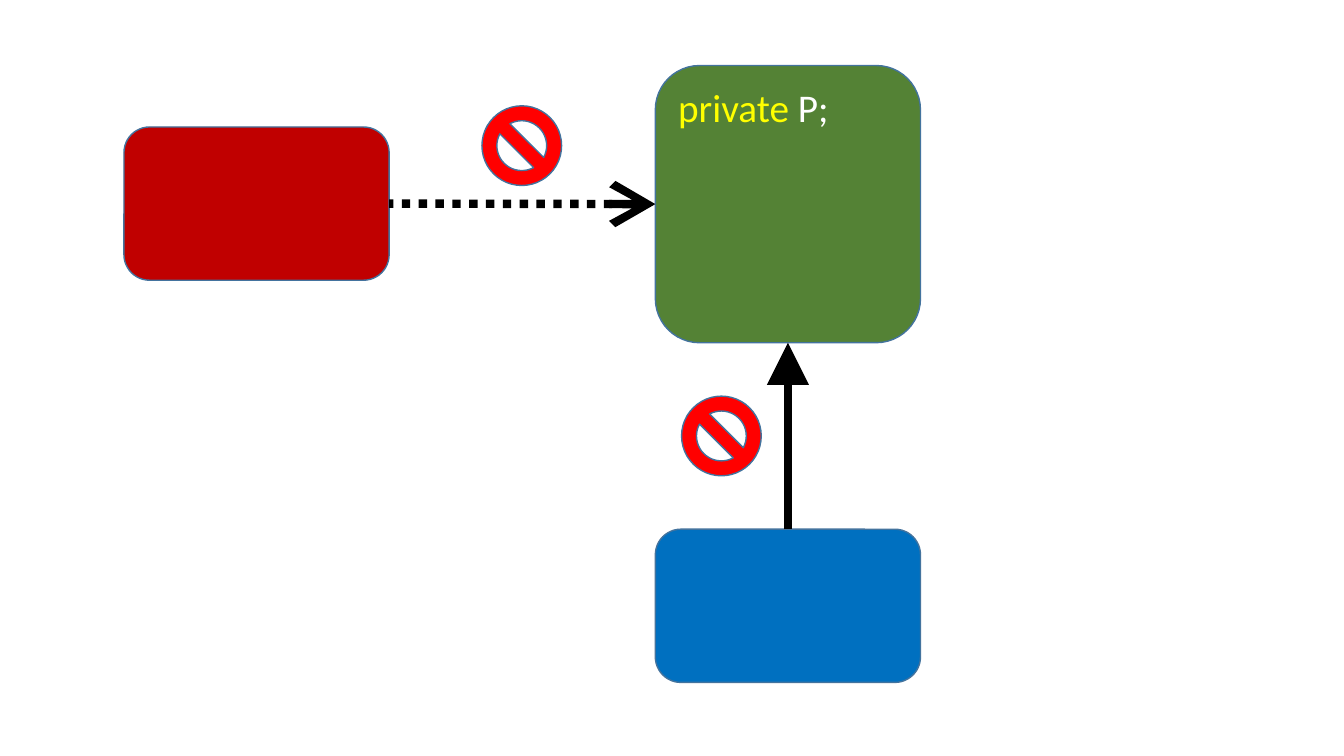
from dataclasses import dataclass

from lxml import etree
from pptx import Presentation
from pptx import util as u
from pptx.dml.color import RGBColor
from pptx.enum import dml, shapes, text
from pptx.oxml.ns import qn

BLUE = RGBColor(0x00, 0x70, 0xC0)
DARK_RED = RGBColor(0xC0, 0x00, 0x00)
GREEN = RGBColor(0x54, 0x82, 0x35)
RED = RGBColor(0xFF, 0x00, 0x00)
OUTLINE = RGBColor(0x43, 0x73, 0x9E)
BLACK = RGBColor(0x00, 0x00, 0x00)
YELLOW = RGBColor(0xFF, 0xFF, 0x00)
WHITE = RGBColor(0xFF, 0xFF, 0xFF)

BOX_W = 2.63
SIGN_SIZE = 0.79
TOP, LEFT, BOTTOM = 0, 1, 2
RIGHT = 3


@dataclass(frozen=True)
class Box:
    name: str
    left: float
    top: float
    height: float
    fill: RGBColor


@dataclass(frozen=True)
class Arrow:
    start: str
    start_side: int
    end: str
    end_side: int
    tip: str  # a:headEnd sits at the start, a:tailEnd at the end
    tip_type: str
    dash: dml.MSO_LINE | None = None


BOXES = [
    Box("subclass", 6.5, 5.25, 1.52, BLUE),
    Box("client", 1.23, 1.26, 1.52, DARK_RED),
    Box("owner", 6.5, 0.65, 2.75, GREEN),
]
ARROWS = [
    Arrow("owner", LEFT, "client", RIGHT, "a:headEnd", "arrow", dml.MSO_LINE.ROUND_DOT),
    Arrow("subclass", TOP, "owner", BOTTOM, "a:tailEnd", "triangle"),
]
SIGNS = [(4.78, 1.05), (6.76, 3.93)]
MEMBER = [("private", YELLOW), (" P;", WHITE)]


def add_filled(s, kind, left: float, top: float, width: float, height: float, fill: RGBColor):
    sp = s.shapes.add_shape(kind, *map(u.Inches, (left, top, width, height)))
    sp.shadow.inherit = False
    sp.fill.solid()
    sp.fill.fore_color.rgb = fill
    sp.line.color.rgb = OUTLINE
    sp.line.width = u.Pt(1)
    return sp


def add_arrow(s, arrow: Arrow, boxes: dict) -> None:
    cx = s.shapes.add_connector(shapes.MSO_CONNECTOR.STRAIGHT, 0, 0, 0, 0)
    cx.begin_connect(boxes[arrow.start], arrow.start_side)
    cx.end_connect(boxes[arrow.end], arrow.end_side)
    cx.line.color.rgb = BLACK
    cx.line.width = u.Pt(6)
    if arrow.dash is not None:
        cx.line.dash_style = arrow.dash
    sp_pr = cx._element.spPr
    etree.SubElement(sp_pr.find(qn("a:ln")), qn(arrow.tip), type=arrow.tip_type, w="lg", len="lg")
    etree.SubElement(sp_pr, qn("a:effectLst"))


def add_member(sp) -> None:
    tf = sp.text_frame
    tf.word_wrap = True
    tf.vertical_anchor = text.MSO_ANCHOR.TOP
    p = tf.paragraphs[0]
    p.alignment = text.PP_ALIGN.LEFT
    for words, color in MEMBER:
        r = p.add_run()
        r.text = words
        r.font.name = "Calibri"
        r.font.size = u.Pt(28)
        r.font.color.rgb = color


def main() -> None:
    prs = Presentation()
    prs.slide_width, prs.slide_height = u.Inches(13.33), u.Inches(7.5)
    s = prs.slides.add_slide(prs.slide_layouts[6])

    # Class boxes
    boxes = {
        b.name: add_filled(s, shapes.MSO_SHAPE.ROUNDED_RECTANGLE,
                           b.left, b.top, BOX_W, b.height, b.fill)
        for b in BOXES
    }
    add_member(boxes["owner"])

    # Access arrows
    for arrow in ARROWS:
        add_arrow(s, arrow, boxes)

    # Forbidden signs
    for left, top in SIGNS:
        add_filled(s, shapes.MSO_SHAPE.NO_SYMBOL, left, top, SIGN_SIZE, SIGN_SIZE, RED)

    prs.save("out.pptx")


if __name__ == "__main__":
    main()
